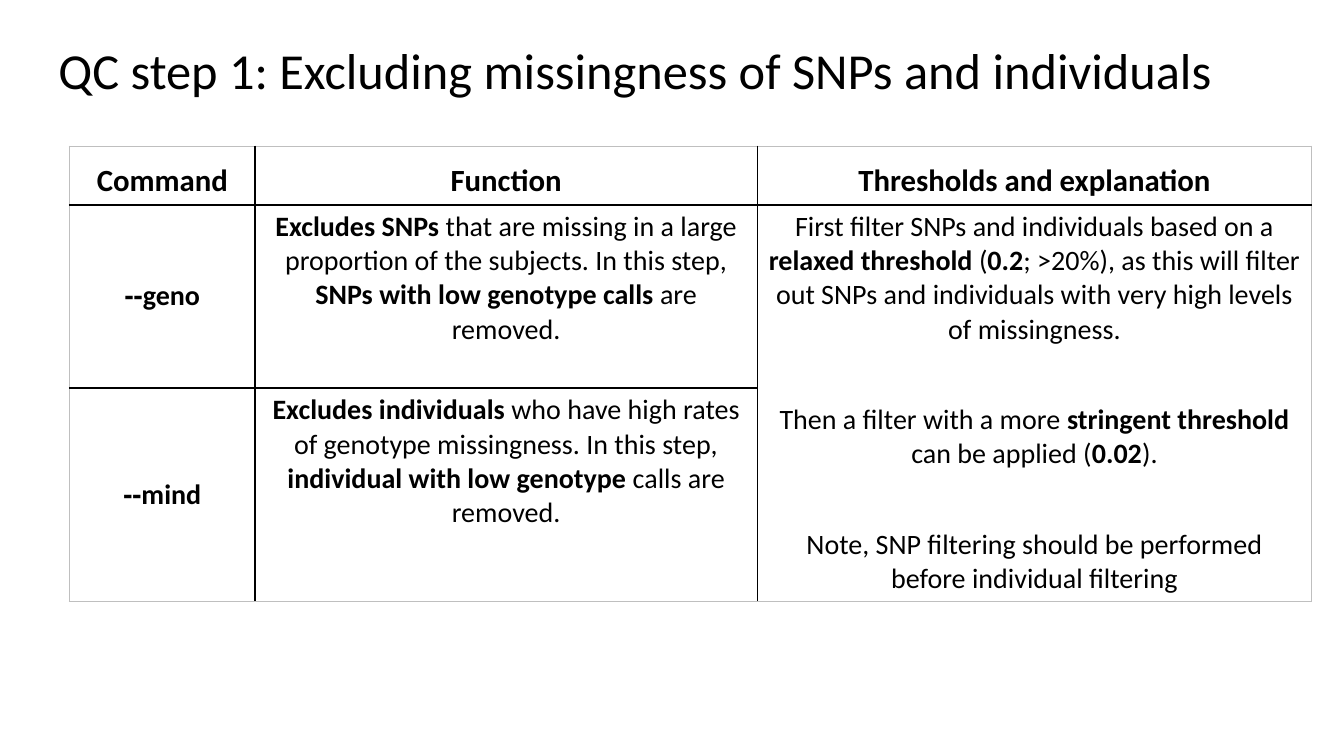
from dataclasses import dataclass

from lxml.etree import SubElement
from pptx import Presentation
from pptx.dml.color import RGBColor
from pptx.enum.text import MSO_ANCHOR, MSO_AUTO_SIZE, PP_ALIGN
from pptx.oxml.ns import qn
from pptx.util import Inches, Pt


@dataclass(frozen=True)
class Theme:
    font: str = "Calibri"
    text: str = "000000"
    rule: str = "000000"
    frame: str = "BFBFBF"
    title_size: int = 36
    header_size: int = 22
    body_size: int = 20
    paragraph_gap: int = 20
    rule_width: float = 1
    header_rule_width: float = 1.5


# Table content: double asterisks switch bold on and off
COLUMN_WIDTHS = [1.84, 4.98, 5.5]
ROW_HEIGHTS = [0.58, 1.82, 1.71]
HEADERS = ["Command", "Function", "Thresholds and explanation"]
COMMANDS = [
    ("‐‐geno",
     "**Excludes SNPs** that are missing in a large proportion of the subjects. "
     "In this step, **SNPs with low genotype calls** are removed."),
    ("‐‐mind",
     "**Excludes individuals **who have high rates of genotype missingness. "
     "In this step, **individual with low genotype **calls are removed."),
]
THRESHOLDS = [
    "First filter SNPs and individuals based on a **relaxed threshold **(**0.2**; >20%), "
    "as this will filter out SNPs and individuals with very high levels of missingness.",
    "Then a filter with a more **stringent threshold **can be applied (**0.02**).",
    "Note, SNP filtering should be performed before individual filtering",
]


class SlideBuilder:
    def __init__(self, deck, theme):
        self.theme = theme
        self.page = deck.slides.add_slide(deck.slide_layouts[5])

    def style(self, font, size):
        font.name = self.theme.font
        font.size = Pt(size)
        font.color.rgb = RGBColor.from_string(self.theme.text)

    def title(self, text, left, top, width, height):
        box = self.page.shapes.title
        box.left, box.top = Inches(left), Inches(top)
        box.width, box.height = Inches(width), Inches(height)
        frame = box.text_frame
        frame.text = text
        frame.word_wrap = True
        frame.auto_size = MSO_AUTO_SIZE.NONE
        frame.vertical_anchor = MSO_ANCHOR.MIDDLE
        para = frame.paragraphs[0]
        para.alignment = PP_ALIGN.LEFT
        para.line_spacing = 0.9
        self.style(para.font, self.theme.title_size)

    def table(self, left, top, widths, heights):
        shape = self.page.shapes.add_table(
            len(heights), len(widths), Inches(left), Inches(top),
            Inches(sum(widths)), Inches(sum(heights)))
        table = shape.table
        table.first_row = table.horz_banding = False
        for column, width in zip(table.columns, widths):
            column.width = Inches(width)
        for row, height in zip(table.rows, heights):
            row.height = Inches(height)
        return table

    def fill_cell(self, cell, texts, size, anchor=MSO_ANCHOR.TOP, bold=False, gap=None):
        cell.vertical_anchor = anchor
        frame = cell.text_frame
        for index, text in enumerate(texts):
            para = frame.add_paragraph() if index else frame.paragraphs[0]
            para.alignment = PP_ALIGN.CENTER
            if gap:
                para.space_before = para.space_after = Pt(gap)
            self.style(para.font, size)
            para.font.bold = bold
            for part, words in enumerate(text.split("**")):
                if words:
                    span = para.add_run()
                    span.text = words
                    if part % 2:
                        span.font.bold = True

    def border(self, cell, side, color, width):
        properties = cell._tc.get_or_add_tcPr()
        line = SubElement(properties, qn(f"a:ln{side}"), w=str(int(Pt(width))))
        fill = SubElement(line, qn("a:solidFill"))
        SubElement(fill, qn("a:srgbClr"), val=color)

    def borders(self, table):
        theme = self.theme
        last_row, last_column = len(table.rows) - 1, len(table.columns) - 1
        for r in range(last_row + 1):
            for c in range(last_column + 1):
                cell = table.cell(r, c)
                bottom = r + (cell.span_height if cell.is_merge_origin else 1) - 1
                outer = {"L": c == 0, "R": c == last_column,
                         "T": r == 0, "B": bottom == last_row}
                under_header = {"T": r == 1, "B": r == 0}
                for side, on_frame in outer.items():
                    if cell.is_spanned and side == "T":
                        continue
                    self.border(
                        cell, side, theme.frame if on_frame else theme.rule,
                        theme.header_rule_width if under_header.get(side) else theme.rule_width)
                cell.fill.background()


def main():
    deck = Presentation()
    deck.slide_width, deck.slide_height = Inches(13.33), Inches(7.5)
    theme = Theme()
    slide = SlideBuilder(deck, theme)

    # Title
    slide.title("QC step 1: Excluding missingness of SNPs and individuals",
                0.48, 0, 12.53, 1.45)

    # Header row
    table = slide.table(0.69, 1.45, COLUMN_WIDTHS, ROW_HEIGHTS)
    for c, header in enumerate(HEADERS):
        slide.fill_cell(table.cell(0, c), [header], theme.header_size, MSO_ANCHOR.BOTTOM, True)

    # Commands and their functions
    for r, (command, function) in enumerate(COMMANDS, start=1):
        slide.fill_cell(table.cell(r, 0), [command], theme.body_size, MSO_ANCHOR.MIDDLE, True)
        slide.fill_cell(table.cell(r, 1), [function], theme.body_size)

    # Thresholds shared by both commands
    table.cell(1, 2).merge(table.cell(2, 2))
    slide.fill_cell(table.cell(1, 2), THRESHOLDS, theme.body_size, gap=theme.paragraph_gap)
    slide.borders(table)

    deck.save("out.pptx")


if __name__ == "__main__":
    main()
